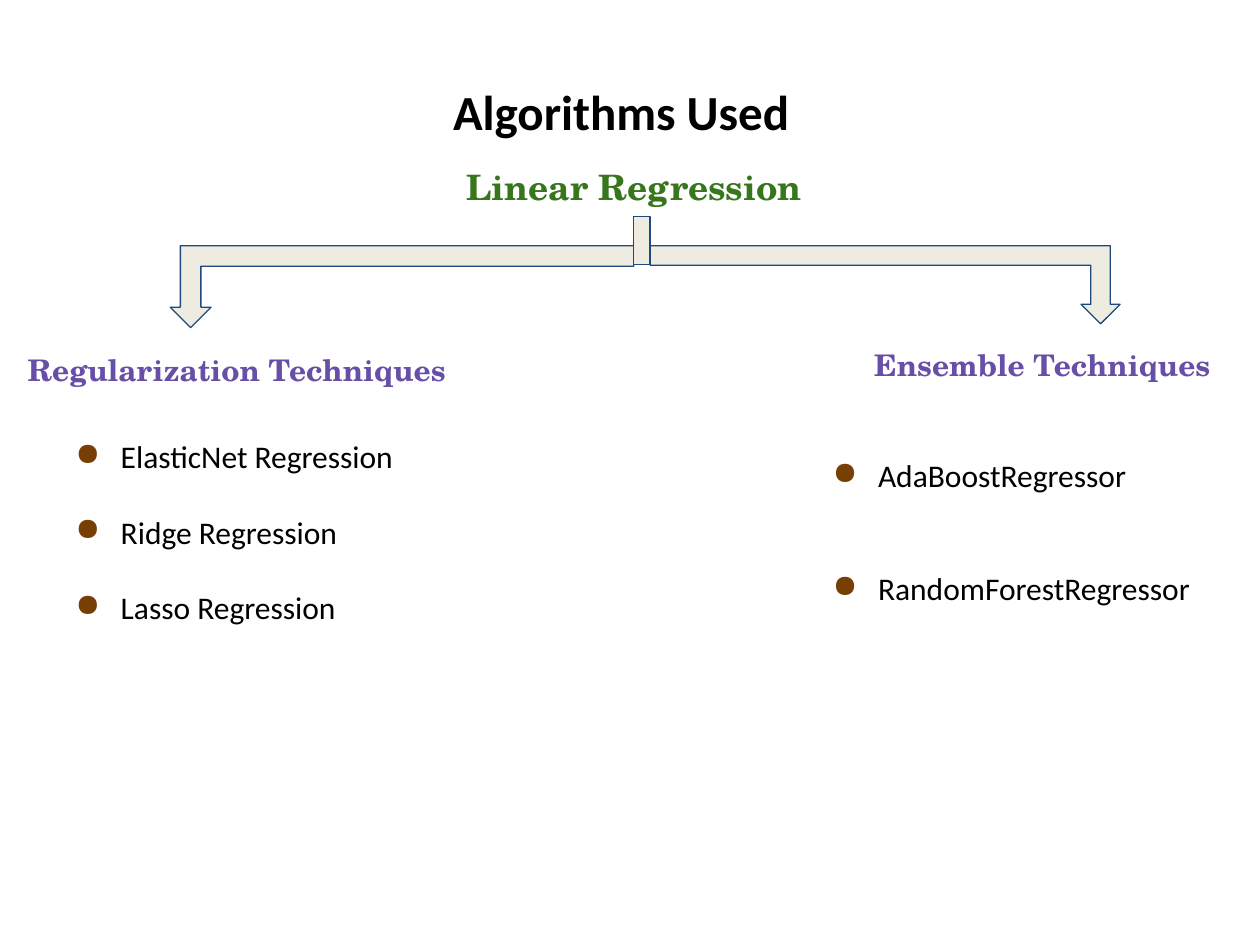
from lxml.etree import SubElement
from pptx import Presentation
from pptx.dml.color import RGBColor
from pptx.enum.shapes import MSO_SHAPE
from pptx.enum.text import MSO_ANCHOR, PP_ALIGN
from pptx.oxml.ns import qn
from pptx.util import Inches, Pt

COLORS = {"black": "000000", "green": "38761D", "purple": "674EA7",
          "brown": "783F04", "cream": "EEECE1", "navy": "1F497D"}
SERIF = "TeX Gyre Schola"

deck = Presentation()
deck.slide_width, deck.slide_height = Inches(10), Inches(7.5)
slide = deck.slides.add_slide(deck.slide_layouts[5])


def place(box, at, inset):
    box.left, box.top, box.width, box.height = map(Inches, at)
    frame = box.text_frame
    frame.word_wrap = True
    frame.vertical_anchor = MSO_ANCHOR.TOP
    frame.margin_left = frame.margin_right = Inches(0.1)
    frame.margin_top = frame.margin_bottom = Inches(inset)
    return frame


def write(para, text, size, color, face="Calibri", bold=True, align=PP_ALIGN.LEFT):
    para.text = text
    para.alignment = align
    font = para.font
    font.name, font.size, font.bold = face, Pt(size), bold
    font.color.rgb = RGBColor.from_string(COLORS[color])


# Title
frame = place(slide.shapes.title, (0.6, 0.6, 8.66, 0.57), 0.05)
write(frame.paragraphs[0], "Algorithms Used", 28, "black", align=PP_ALIGN.CENTER)

# Headings
for text, at, size, color, align in [
    ("Linear Regression", (0.12, 1.21, 9.83, 0.5), 20, "green", PP_ALIGN.CENTER),
    ("Regularization Techniques", (0.12, 2.69, 3.58, 0.49), 17, "purple", PP_ALIGN.LEFT),
    ("Ensemble Techniques", (6.84, 2.65, 3.16, 0.49), 17, "purple", PP_ALIGN.LEFT),
]:
    frame = place(slide.shapes.add_textbox(0, 0, 0, 0), at, 0.1)
    write(frame.paragraphs[0], text, size, color, SERIF, align=align)

# Branch arrows and the stem over them
for kind, at, turn, flip in [
    (MSO_SHAPE.BENT_UP_ARROW, (1.35, 1.95, 3.68, 0.65), 180, False),
    (MSO_SHAPE.BENT_UP_ARROW, (5.16, 1.95, 3.73, 0.62), 180, True),
    (MSO_SHAPE.RECTANGLE, (5.03, 1.72, 0.13, 0.38), 0, False),
]:
    shape = slide.shapes.add_shape(kind, *map(Inches, at))
    shape.rotation = turn
    if flip:
        shape._element.spPr.find(qn("a:xfrm")).set("flipH", "1")
    shape.shadow.inherit = False
    shape.fill.solid()
    shape.fill.fore_color.rgb = RGBColor.from_string(COLORS["cream"])
    shape.line.color.rgb = RGBColor.from_string(COLORS["navy"])
    shape.line.width = Pt(0.75)

# Bulleted lists
for at, gap, items in [
    ((0.36, 3.42, 3.09, 1.62), 21.5,
     ["ElasticNet Regression", "Ridge Regression", "Lasso Regression"]),
    ((6.37, 3.57, 3.28, 1.31), 43, ["AdaBoostRegressor", "RandomForestRegressor"]),
]:
    frame = place(slide.shapes.add_textbox(0, 0, 0, 0), at, 0.05)
    for i, item in enumerate(items):
        para = frame.add_paragraph() if i else frame.paragraphs[0]
        write(para, item, 18, "black", bold=False)
        para.space_before = Pt(gap if i else 0)
        props = para._p.get_or_add_pPr()
        props.set("marL", str(Inches(0.5)))
        props.set("indent", str(Inches(-0.36)))
        mark = SubElement(props, qn("a:buClr"))
        SubElement(mark, qn("a:srgbClr"), val=COLORS["brown"])
        SubElement(props, qn("a:buChar"), char="●")
        # The schema wants the default run properties after the bullet
        props.append(props.find(qn("a:defRPr")))

deck.save("out.pptx")
